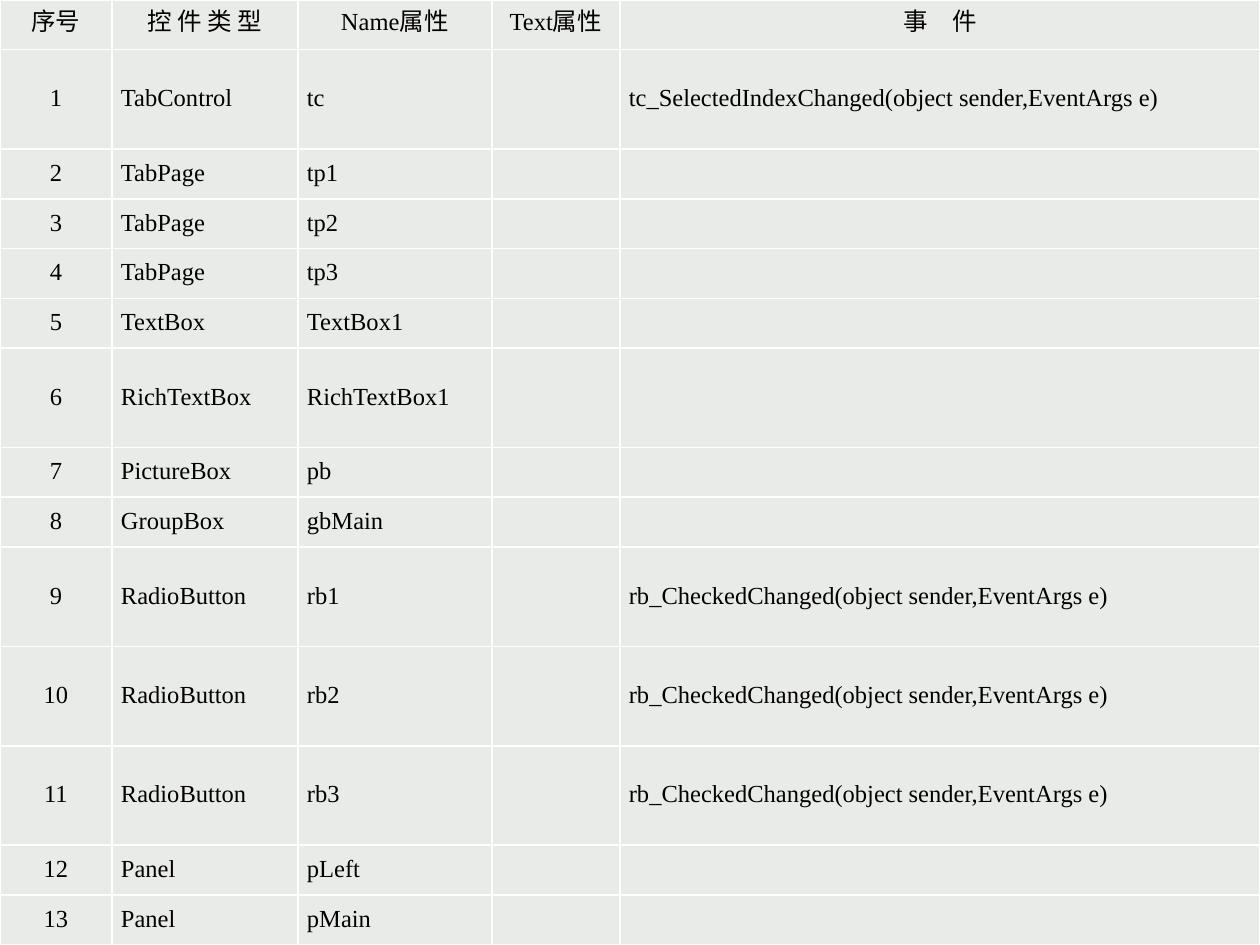
from dataclasses import dataclass

from lxml.etree import SubElement
from pptx import Presentation
from pptx.dml.color import RGBColor
from pptx.enum.text import MSO_ANCHOR, PP_ALIGN
from pptx.oxml.ns import qn
from pptx.util import Emu, Pt


@dataclass(frozen=True)
class Theme:
    font: str = "Times New Roman"
    text_size: int = 14
    line_spacing: float = 14.5
    border_width: int = 1
    background: str = "000000"
    text: str = "000000"
    cell: str = "E9EBE8"
    border: str = "FFFFFF"


SLIDE_WIDTH, SLIDE_HEIGHT = 1260, 945
COLUMN_WIDTHS = [112, 186, 194, 128, 640]
TALL_ROWS = {1, 6, 9, 10, 11}
HEADERS = ["序号", "控 件 类 型", "Name属性", "Text属性", "事　件"]
CHECKED_CHANGED = "rb_CheckedChanged(object sender,EventArgs e)"
CONTROLS = [
    ("TabControl", "tc", "tc_SelectedIndexChanged(object sender,EventArgs e)"),
    ("TabPage", "tp1", ""),
    ("TabPage", "tp2", ""),
    ("TabPage", "tp3", ""),
    ("TextBox", "TextBox1", ""),
    ("RichTextBox", "RichTextBox1", ""),
    ("PictureBox", "pb", ""),
    ("GroupBox", "gbMain", ""),
    ("RadioButton", "rb1", CHECKED_CHANGED),
    ("RadioButton", "rb2", CHECKED_CHANGED),
    ("RadioButton", "rb3", CHECKED_CHANGED),
    ("Panel", "pLeft", ""),
    ("Panel", "pMain", ""),
]


def px(length):
    return Emu(round(length * 914400 / 126))


def apply_format(target, values):
    for name, value in values.items():
        setattr(target, name, value)


class SlideBuilder:
    def __init__(self, slide, theme):
        self.slide = slide
        self.theme = theme

    def background(self):
        fill = self.slide.background.fill
        fill.solid()
        fill.fore_color.rgb = RGBColor.from_string(self.theme.background)

    def table(self, rows, left, top, column_widths, row_heights):
        frame = self.slide.shapes.add_table(
            len(rows), len(column_widths), px(left), px(top),
            px(sum(column_widths)), px(sum(row_heights)),
        )
        table = frame.table
        apply_format(table, {"first_row": False, "horz_banding": False})
        for column, width in zip(table.columns, column_widths):
            column.width = px(width)
        for row, height in zip(table.rows, row_heights):
            row.height = px(height)
        for row_index, texts in enumerate(rows):
            for column_index, text in enumerate(texts):
                centred = row_index == 0 or column_index == 0
                alignment = PP_ALIGN.CENTER if centred else PP_ALIGN.JUSTIFY
                self.cell(table.cell(row_index, column_index), text, alignment)

    def cell(self, cell, text, alignment):
        theme = self.theme
        apply_format(cell, {
            "margin_left": px(9), "margin_right": px(9),
            "margin_top": 0, "margin_bottom": 0,
            "vertical_anchor": MSO_ANCHOR.MIDDLE,
        })
        self.borders(cell)
        cell.fill.solid()
        cell.fill.fore_color.rgb = RGBColor.from_string(theme.cell)
        paragraph = cell.text_frame.paragraphs[0]
        apply_format(paragraph, {
            "alignment": alignment, "line_spacing": Pt(theme.line_spacing),
            "space_before": Pt(1), "space_after": Pt(2),
        })
        if text:
            run = paragraph.add_run()
            run.text = text
            apply_format(run.font, {"name": theme.font, "size": Pt(theme.text_size)})
            run.font.color.rgb = RGBColor.from_string(theme.text)

    def borders(self, cell):
        properties = cell._tc.get_or_add_tcPr()
        for side in ("a:lnL", "a:lnR", "a:lnT", "a:lnB"):
            line = SubElement(properties, qn(side), w=str(Pt(self.theme.border_width)))
            fill = SubElement(line, qn("a:solidFill"))
            SubElement(fill, qn("a:srgbClr"), val=self.theme.border)


def main():
    presentation = Presentation()
    apply_format(presentation, {
        "slide_width": px(SLIDE_WIDTH), "slide_height": px(SLIDE_HEIGHT),
    })
    slide = presentation.slides.add_slide(presentation.slide_layouts[6])
    builder = SlideBuilder(slide, Theme())
    builder.background()

    rows = [HEADERS] + [
        [str(number), kind, name, "", event]
        for number, (kind, name, event) in enumerate(CONTROLS, start=1)
    ]
    line_counts = [2 if index in TALL_ROWS else 1 for index in range(len(rows))]
    unit = SLIDE_HEIGHT / sum(line_counts)
    builder.table(rows, 0, 0, COLUMN_WIDTHS, [unit * count for count in line_counts])
    presentation.save("out.pptx")


if __name__ == "__main__":
    main()
